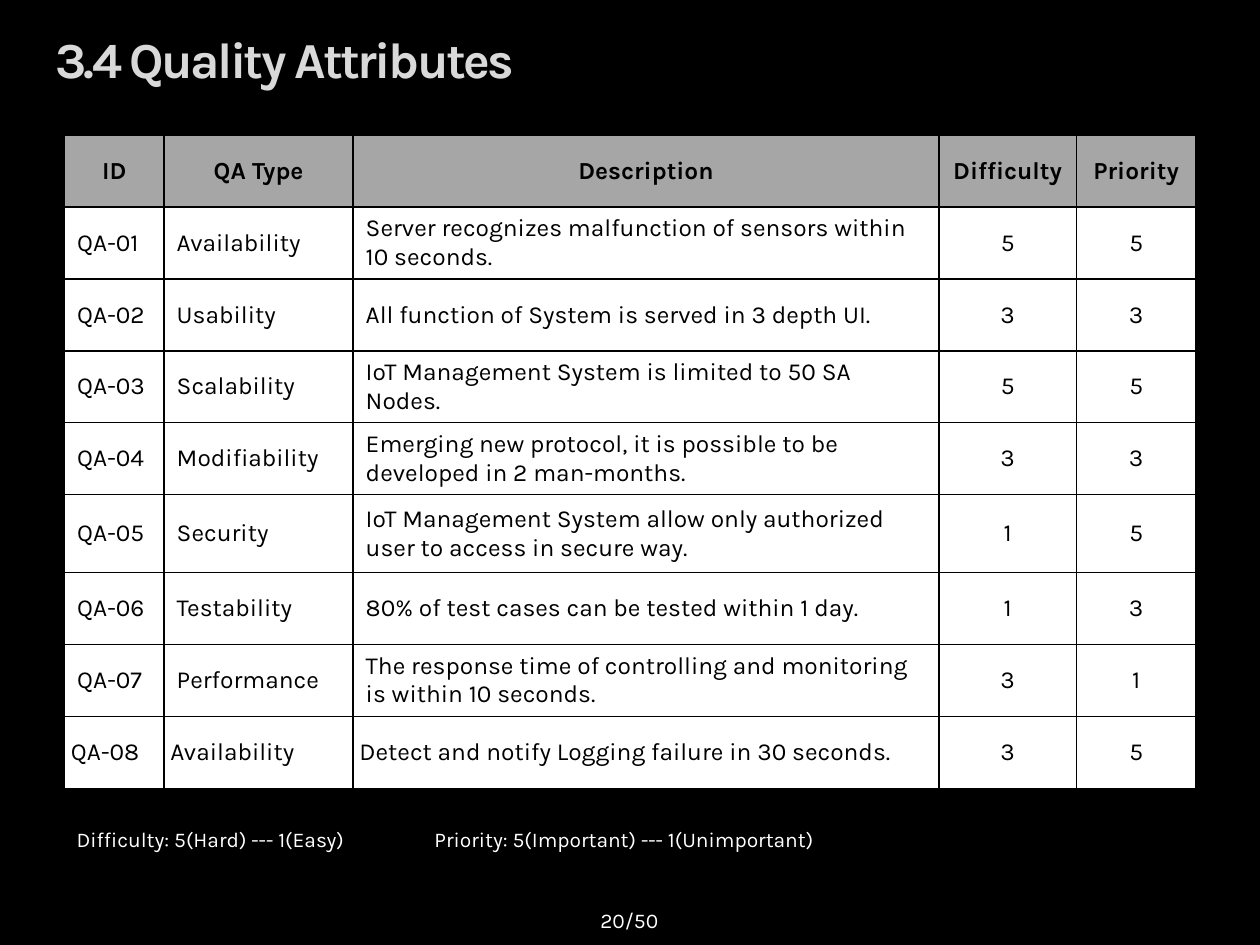
from lxml.etree import SubElement
from pptx import Presentation
from pptx.dml.color import RGBColor
from pptx.enum.text import MSO_ANCHOR as ANCHOR, PP_ALIGN as ALIGN
from pptx.oxml.ns import qn
from pptx.util import Inches, Pt

WIDTH, HEIGHT = Inches(10), Inches(7.5)
FONT = "Karla"
BLACK = RGBColor(0x00, 0x00, 0x00)
WHITE = RGBColor(0xFF, 0xFF, 0xFF)
HEADER_GRAY = RGBColor(0xA6, 0xA6, 0xA6)
TITLE_GRAY = RGBColor(0xD9, 0xD9, 0xD9)

COLUMN_SHARES = [7.9, 15, 46.5, 10.9, 9.5]
ROW_SHARE = 7.61
SECURITY_ROW, SECURITY_SHARE = 5, 8.27
FIRST_SCORE_COLUMN = 3

HEADERS = ("ID", "QA Type", "Description", "Difficulty", "Priority")
ATTRIBUTES = [
    ("Availability", "Server recognizes malfunction of sensors within 10 seconds.", 5, 5),
    ("Usability", "All function of System is served in 3 depth UI.", 3, 3),
    ("Scalability", "IoT Management System is limited to 50 SA Nodes.", 5, 5),
    ("Modifiability", "Emerging new protocol, it is possible to be developed in 2 man-months.", 3, 3),
    ("Security", "IoT Management System allow only authorized user to access in secure way.", 1, 5),
    ("Testability", "80% of test cases can be tested within 1 day.", 1, 3),
    ("Performance", "The response time of controlling and monitoring is within 10 seconds.", 3, 1),
    ("Availability", "Detect and notify Logging failure\u00a0in 30 seconds.", 3, 5),
]


def across(share):
    return round(WIDTH * share / 100)


def down(share):
    return round(HEIGHT * share / 100)


def write(tf, text, size, color, bold=False, align=ALIGN.LEFT):
    p = tf.paragraphs[0]
    p.alignment = align
    p.font.name = FONT
    p.font.size = Pt(size)
    p.font.bold = bold
    p.font.color.rgb = color
    r = p.add_run()
    r.text = text
    return r


def add_label(slide, left, top, width, height, text, size=12, color=WHITE,
              wrap=True, anchor=ANCHOR.MIDDLE, **style):
    box = slide.shapes.add_textbox(across(left), down(top), across(width), down(height))
    tf = box.text_frame
    tf.word_wrap = wrap
    tf.vertical_anchor = anchor
    return write(tf, text, size, color, **style)


def add_borders(cell):
    tcPr = cell._tc.get_or_add_tcPr()
    for index, side in enumerate(("lnL", "lnR", "lnT", "lnB")):
        ln = tcPr.makeelement(qn(f"a:{side}"), {"w": str(Pt(1))})
        fill = SubElement(ln, qn("a:solidFill"))
        SubElement(fill, qn("a:srgbClr"), val=str(BLACK))
        tcPr.insert(index, ln)


def fill_cell(cell, text, is_header, centered):
    cell.fill.solid()
    cell.fill.fore_color.rgb = HEADER_GRAY if is_header else WHITE
    cell.vertical_anchor = ANCHOR.MIDDLE
    write(cell.text_frame, text, 14, BLACK, bold=is_header,
          align=ALIGN.CENTER if centered else ALIGN.LEFT)
    add_borders(cell)


def add_attribute_table(slide):
    rows = [HEADERS] + [(f"QA-{n:02}", *a) for n, a in enumerate(ATTRIBUTES, 1)]
    heights = [ROW_SHARE] * len(rows)
    heights[SECURITY_ROW] = SECURITY_SHARE
    frame = slide.shapes.add_table(
        len(rows), len(HEADERS), across(5.13), down(14.3),
        across(sum(COLUMN_SHARES)), down(sum(heights)))
    table = frame.table
    for column, share in zip(table.columns, COLUMN_SHARES):
        column.width = across(share)
    for i, (row, share, values) in enumerate(zip(table.rows, heights, rows)):
        row.height = down(share)
        for j, (cell, value) in enumerate(zip(row.cells, values)):
            fill_cell(cell, str(value), i == 0, i == 0 or j >= FIRST_SCORE_COLUMN)
    for cell in table.rows[len(rows) - 1].cells:
        cell.margin_left = cell.margin_right = Inches(0.05)
        cell.margin_top = cell.margin_bottom = Inches(0.01)


def main():
    prs = Presentation()
    prs.slide_width, prs.slide_height = WIDTH, HEIGHT
    slide = prs.slides.add_slide(prs.slide_layouts[6])
    slide.background.fill.solid()
    slide.background.fill.fore_color.rgb = BLACK

    title = add_label(slide, 3.4, 2.8, 91.4, 6.8, "3.4 Quality Attributes",
                      size=28.8, color=TITLE_GRAY, bold=True)
    title._r.get_or_add_rPr().set("spc", "-150")
    add_attribute_table(slide)
    for left, width, text in (
        (33.5, 32.6, "Priority: 5(Important) --- 1(Unimportant)"),
        (5.1, 23.9, "Difficulty: 5(Hard) --- 1(Easy)"),
    ):
        add_label(slide, left, 86.8, width, 4, text, wrap=False, anchor=ANCHOR.TOP)
    add_label(slide, 38.3, 94.67, 23.3, 5.33, "20/50", align=ALIGN.CENTER)
    prs.save("out.pptx")


if __name__ == "__main__":
    main()
